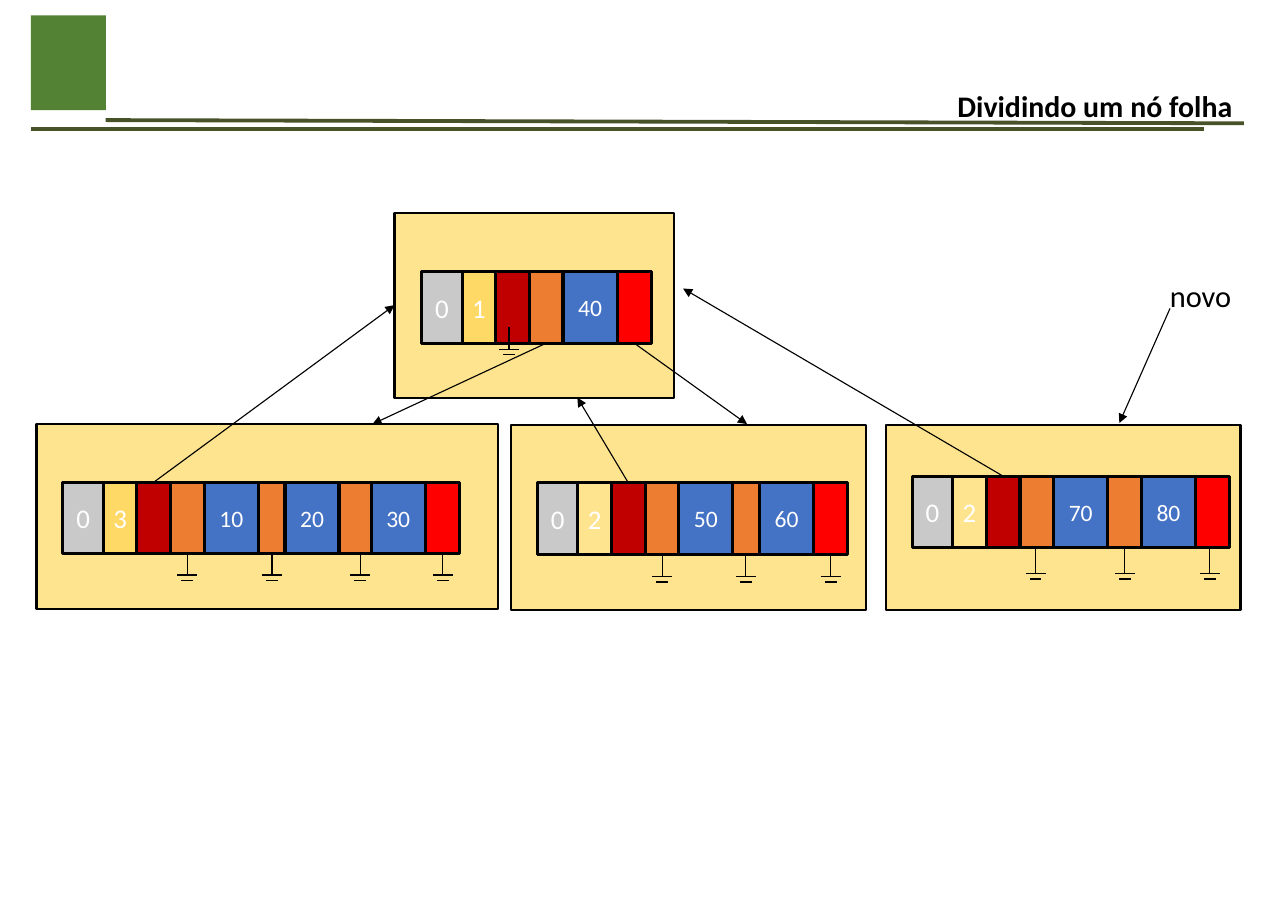
import lxml.etree
import pptx
import pptx.dml.color
import pptx.enum.shapes
import pptx.enum.text
import pptx.oxml.ns
import pptx.util

Pt = pptx.util.Pt
RGB = pptx.dml.color.RGBColor
PP_ALIGN = pptx.enum.text.PP_ALIGN
ANCHOR = pptx.enum.text.MSO_ANCHOR
RECT = pptx.enum.shapes.MSO_SHAPE.RECTANGLE
STRAIGHT = pptx.enum.shapes.MSO_CONNECTOR.STRAIGHT
qn = pptx.oxml.ns.qn

BLACK = RGB(0x00, 0x00, 0x00)
WHITE = RGB(0xFF, 0xFF, 0xFF)
GREEN = RGB(0x54, 0x82, 0x35)
OLIVE = RGB(0x48, 0x52, 0x28)
CREAM = RGB(0xFF, 0xE4, 0x8F)
GRAY = RGB(0xC9, 0xC9, 0xC9)
YELLOW = RGB(0xFF, 0xD9, 0x66)
DARK_RED = RGB(0xC0, 0x00, 0x00)
RED = RGB(0xFF, 0x00, 0x00)
ORANGE = RGB(0xED, 0x7D, 0x31)
BLUE = RGB(0x44, 0x72, 0xC4)

FONT = "Calibri"
CELL_H = 46.6
FLAG_W, NARROW_W, KEY_W, LAST_W = 26.4, 22, 35.3, 22.3


def add_rect(slide, x, y, w, h, fill, line_width=None):
    sp = slide.shapes.add_shape(RECT, Pt(x), Pt(y), Pt(w), Pt(h))
    sp.shadow.inherit = False
    sp.fill.solid()
    sp.fill.fore_color.rgb = fill
    if line_width:
        sp.line.color.rgb = BLACK
        sp.line.width = Pt(line_width)
    else:
        sp.line.fill.background()
    return sp


def set_text(sp, text, size, color, align, bold=False):
    p = sp.text_frame.paragraphs[0]
    p.text = text
    p.alignment = align
    p.font.name = FONT
    p.font.size = Pt(size)
    p.font.bold = bold
    p.font.color.rgb = color
    return p


def add_cell(slide, x, y, w, fill, text="", size=17.6):
    sp = add_rect(slide, x, y, w, CELL_H, fill, 2)
    if text:
        tf = sp.text_frame
        tf.margin_left = tf.margin_right = 0
        tf.vertical_anchor = ANCHOR.MIDDLE
        set_text(sp, text, size, WHITE, PP_ALIGN.CENTER)
    return sp


def add_line(shapes, start, end, color=BLACK, width=0.75):
    cx = shapes.add_connector(STRAIGHT, *(Pt(v) for v in start + end))
    cx.line.color.rgb = color
    cx.line.width = Pt(width)
    lxml.etree.SubElement(cx._element.spPr, qn("a:effectLst"))
    return cx


def add_arrow(slide, start, end):
    cx = add_line(slide.shapes, start, end)
    ln = cx._element.spPr.find(qn("a:ln"))
    lxml.etree.SubElement(ln, qn("a:tailEnd"), type="triangle")
    return cx


def add_cell_arrow(slide, cell, site, end):
    """Arrow from the top (0) or bottom (2) middle of a cell to a point."""
    cx = add_arrow(slide, (0, 0), end)
    cx.begin_connect(cell, site)
    return cx


def add_ground(slide, x, y, stem):
    """Null-pointer symbol: a stem above two bars."""
    shapes = slide.shapes.add_group_shape().shapes
    base = y + stem
    add_line(shapes, (x, y), (x, base))
    for bar_y, half in ((base, 6.6), (base + 3.7, 3.8)):
        add_line(shapes, (x - half, bar_y), (x + half, bar_y))


def add_node(slide, box, x, y, count, count_fill, entries):
    """Tree node; entries are (pointer width, key). Returns box and pointer cells."""
    frame = add_rect(slide, *box, CREAM, 1.5)
    add_cell(slide, x, y, FLAG_W, GRAY, "0")
    x += FLAG_W
    add_cell(slide, x, y, NARROW_W, count_fill, count)
    x += NARROW_W
    parent = add_cell(slide, x, y, NARROW_W, DARK_RED)
    x += NARROW_W
    pointers = []
    for width, key in entries:
        pointers.append(add_cell(slide, x, y, width, ORANGE))
        x += width
        add_cell(slide, x, y, KEY_W, BLUE, key, 15.4)
        x += KEY_W
    pointers.append(add_cell(slide, x, y, LAST_W, RED))
    return frame, parent, pointers


def add_header(slide):
    add_rect(slide, 20.2, 10.1, 49, 61.9, GREEN)
    add_line(slide.shapes, (69.1, 78.5), (812.9, 80.6), OLIVE, 2.5)
    add_line(slide.shapes, (20.2, 84.2), (787, 84.2), OLIVE, 2.5)
    title = slide.shapes.add_textbox(Pt(449.3), Pt(51.1), Pt(364.3), Pt(38.9))
    tf = title.text_frame
    tf.word_wrap = True
    tf.vertical_anchor = ANCHOR.MIDDLE
    tf.margin_left = tf.margin_right = Pt(7.9)
    tf.margin_top = tf.margin_bottom = Pt(4.3)
    p = set_text(title, "Dividindo um nó folha", 19.5, BLACK, PP_ALIGN.RIGHT, True)
    p.line_spacing = 0.9


def add_tree(slide):
    _, left_parent, _ = add_node(
        slide, (23.8, 277.2, 301.7, 121), 41.1, 315.2, "3", YELLOW,
        [(NARROW_W, "10"), (17.5, "20"), (21, "30")])
    _, middle_parent, _ = add_node(
        slide, (334.1, 277.9, 231.8, 121), 351.2, 315.6, "2", CREAM,
        [(NARROW_W, "50"), (17.5, "60")])
    root, _, root_pointers = add_node(
        slide, (257.8, 139, 182.9, 121), 275.6, 177.7, "1", YELLOW,
        [(NARROW_W, "40")])
    _, new_parent, _ = add_node(
        slide, (578.9, 277.9, 231.8, 121), 596.2, 311.3, "2", CREAM,
        [(NARROW_W, "70"), (NARROW_W, "80")])

    add_cell_arrow(slide, left_parent, 0, (257.8, 199.5)).end_connect(root, 1)
    add_cell_arrow(slide, middle_parent, 0, (377.3, 259.9))
    add_cell_arrow(slide, new_parent, 0, (446.4, 188.6))
    add_cell_arrow(slide, root_pointers[0], 2, (243.4, 277.2))
    add_cell_arrow(slide, root_pointers[1], 2, (488.2, 277.2))

    grounds = (
        ((332.6,), 213.8, 14.4),
        ((122.4, 177.8, 235.4, 289.4), 361.6, 14.2),
        ((432.7, 487.4, 542.9), 362.3, 14.4),
        ((676.8, 735.1, 790.6), 359, 15.8),
    )
    for xs, y, stem in grounds:
        for x in xs:
            add_ground(slide, x, y, stem)


def add_new_label(slide):
    add_arrow(slide, (764.6, 201.6), (731.5, 276.5))
    label = slide.shapes.add_textbox(Pt(757.4), Pt(177.8), Pt(54.7), Pt(31.7))
    label.text_frame.word_wrap = False
    set_text(label, "novo", 19.9, BLACK, PP_ALIGN.LEFT)


def main():
    prs = pptx.Presentation()
    prs.slide_width, prs.slide_height = Pt(841.68), Pt(595.44)
    slide = prs.slides.add_slide(prs.slide_layouts[6])
    add_header(slide)
    add_tree(slide)
    add_new_label(slide)
    prs.save("out.pptx")


if __name__ == "__main__":
    main()
